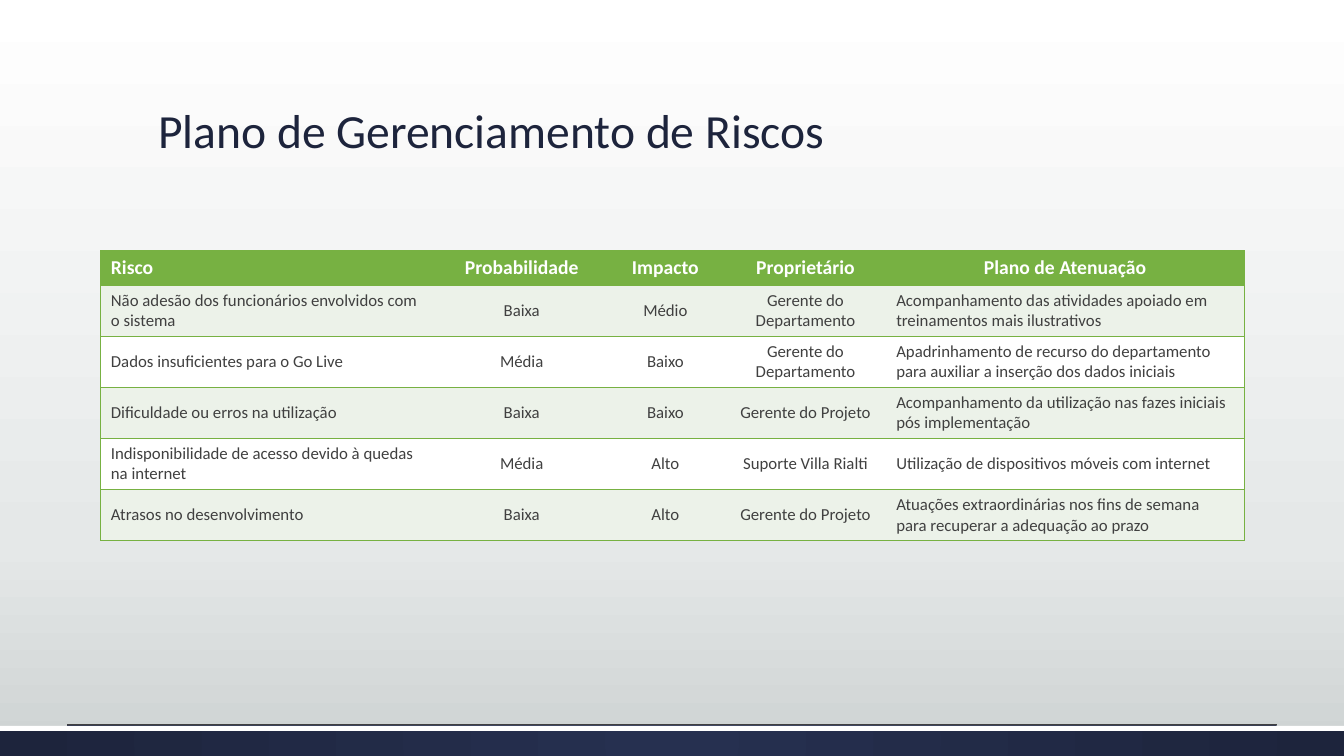
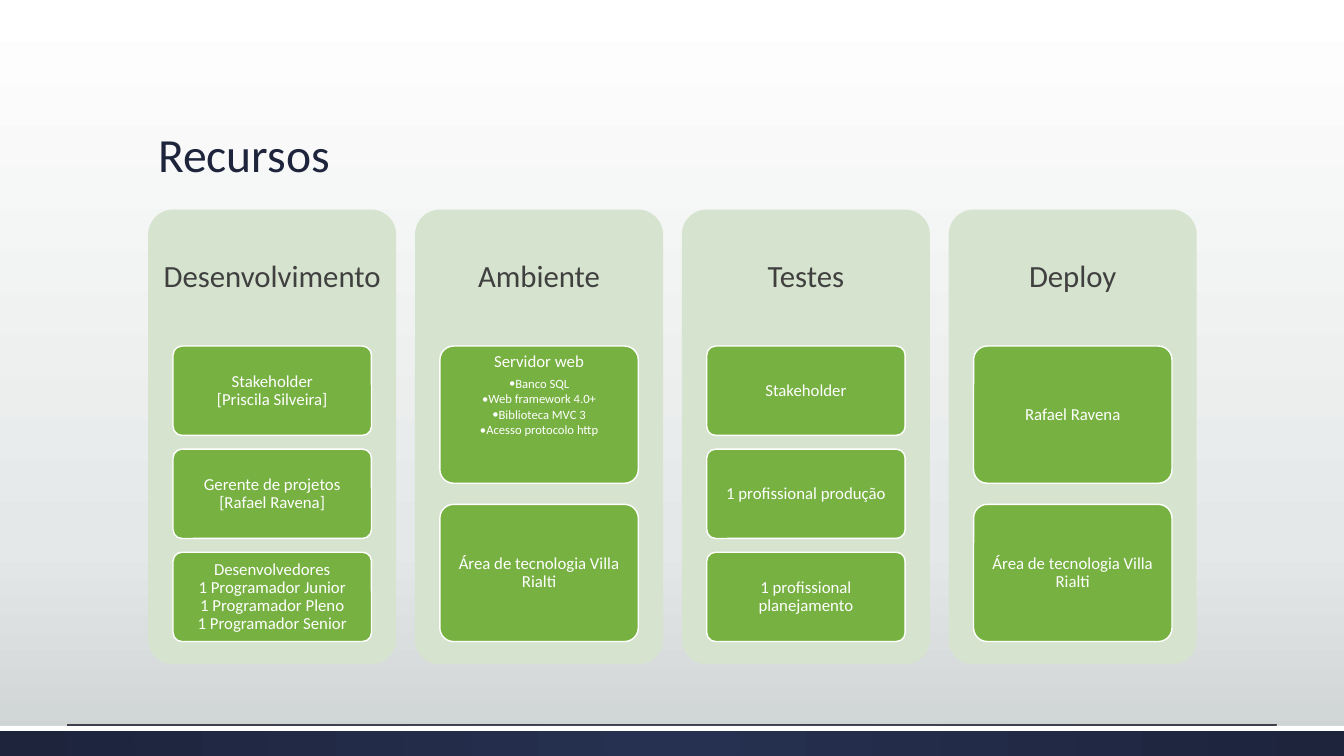
from pptx import Presentation
from pptx.dml.color import RGBColor
from pptx.enum.shapes import MSO_CONNECTOR, MSO_SHAPE
from pptx.enum.text import MSO_ANCHOR, PP_ALIGN
from pptx.oxml import parse_xml
from pptx.oxml.ns import nsdecls, qn
from pptx.util import Inches, Pt

SLIDE_W, SLIDE_H = 13.33, 7.5
FONT = "Calibri"
NAVY = RGBColor(0x1D, 0x24, 0x3C)
NAVY_LIGHT = RGBColor(0x26, 0x30, 0x50)
GREEN = RGBColor(0x77, 0xB1, 0x42)
GREEN_PALE = RGBColor(0xD6, 0xE4, 0xCF)
GREEN_TINT = RGBColor(0xEC, 0xF2, 0xE9)
GREY = RGBColor(0x40, 0x40, 0x40)
FOG = RGBColor(0xE5, 0xE8, 0xE8)
ASH = RGBColor(0xCD, 0xD2, 0xD2)
WHITE = RGBColor(0xFF, 0xFF, 0xFF)

DOWNWARD = '<a:lin ang="5400000" scaled="0"/>'
FROM_CENTRE = ('<a:path path="circle"><a:fillToRect l="50000" t="50000" '
               'r="50000" b="50000"/></a:path>')

CONTENT_LEFT, CONTENT_W = 1.47, 10.4
BAND_TOP = 0.96 * SLIDE_H

RISKS_TITLE = "Plano de Gerenciamento de Riscos"
RISKS = [
    ("Risco", "Probabilidade", "Impacto", "Proprietário", "Plano de Atenuação"),
    ("Não adesão dos funcionários envolvidos com o sistema", "Baixa", "Médio",
     "Gerente do Departamento",
     "Acompanhamento das atividades apoiado em treinamentos mais ilustrativos"),
    ("Dados insuficientes para o Go Live", "Média", "Baixo",
     "Gerente do Departamento",
     "Apadrinhamento de recurso do departamento para auxiliar a inserção dos dados iniciais"),
    ("Dificuldade ou erros na utilização", "Baixa", "Baixo",
     "Gerente do Projeto",
     "Acompanhamento da utilização nas fazes iniciais pós implementação"),
    ("Indisponibilidade de acesso devido à quedas na internet", "Média", "Alto",
     "Suporte Villa Rialti",
     "Utilização de dispositivos móveis com internet"),
    ("Atrasos no desenvolvimento", "Baixa", "Alto", "Gerente do Projeto",
     "Atuações extraordinárias nos fins de semana para recuperar a adequação ao prazo"),
]
RISK_COLUMNS = (3.34, 1.67, 1.18, 1.6, 3.55)
HEADER_ROW, RISK_ROW = 0.34, 0.5

RESOURCES_TITLE = "Recursos"
# Each card is a heading and its bullets.
RESOURCES = {
    "Desenvolvimento": [
        ("Stakeholder\n[Priscila Silveira]", []),
        ("Gerente de projetos [Rafael Ravena]", []),
        ("Desenvolvedores\n1 Programador Junior\n1 Programador Pleno\n1 Programador Senior", []),
    ],
    "Ambiente": [
        ("Servidor web", ["Banco SQL", "Web framework 4.0+",
                          "Biblioteca MVC 3", "Acesso protocolo http"]),
        ("Área de tecnologia Villa Rialti", []),
    ],
    "Testes": [
        ("Stakeholder", []),
        ("1 profissional produção", []),
        ("1 profissional planejamento", []),
    ],
    "Deploy": [
        ("Rafael Ravena", []),
        ("Área de tecnologia Villa Rialti", []),
    ],
}
PANEL_TOP, PANEL_W, PANEL_H = 2.08, 2.46, 4.51
HEADING_SHARE, CARDS_SHARE, CARD_W_SHARE = 0.3, 0.65, 0.8
CARD_GAP_SHARE = 0.154


def box(*lengths):
    return [Inches(length) for length in lengths]


def set_gradient(holder, stops, direction):
    """Swap the solid fill inside an element for a gradient."""
    solid = holder.find(qn("a:solidFill"))
    marks = "".join(f'<a:gs pos="{share * 1000}"><a:srgbClr val="{color}"/></a:gs>'
                    for share, color in stops)
    holder.replace(solid, parse_xml(
        f'<a:gradFill {nsdecls("a")} rotWithShape="1"><a:gsLst>{marks}</a:gsLst>'
        f'{direction}</a:gradFill>'))


def format_frame(frame, anchor, inset):
    settings = {"word_wrap": True, "vertical_anchor": anchor}
    for side in ("left", "top", "right", "bottom"):
        settings[f"margin_{side}"] = Inches(inset)
    for name, value in settings.items():
        setattr(frame, name, value)


def write(paragraph, text, size, color, align=PP_ALIGN.LEFT, bold=False,
          line_spacing=None, space_after=None):
    paragraph.text = text
    layout = {"alignment": align, "line_spacing": line_spacing,
              "space_after": space_after}
    for name, value in layout.items():
        setattr(paragraph, name, value)
    for run in paragraph.runs:
        for name, value in {"name": FONT, "size": Pt(size), "bold": bold}.items():
            setattr(run.font, name, value)
        run.font.color.rgb = color


def add_block(slide, preset, place, fill, line=None):
    block = slide.shapes.add_shape(preset, *box(*place))
    block.shadow.inherit = False
    block.fill.solid()
    block.fill.fore_color.rgb = fill
    if line is None:
        block.line.fill.background()
    else:
        block.line.color.rgb = line
        block.line.width = Pt(1)
    return block


def add_rounded(slide, place, fill, line=None):
    rounded = add_block(slide, MSO_SHAPE.ROUNDED_RECTANGLE, place, fill, line)
    rounded.adjustments[0] = 0.1
    return rounded


def set_background(prs):
    master = prs.slide_master
    master.background.fill.solid()
    master.background.fill.fore_color.rgb = WHITE
    set_gradient(master.element.find(".//" + qn("p:bgPr")),
                 [(0, WHITE), (72, FOG), (100, ASH)], DOWNWARD)


def add_titled_slide(prs, text, top, height):
    slide = prs.slides.add_slide(prs.slide_layouts[5])
    band = add_block(slide, MSO_SHAPE.RECTANGLE,
                     (0, BAND_TOP, SLIDE_W, SLIDE_H - BAND_TOP), NAVY)
    set_gradient(band.element.spPr, [(0, NAVY_LIGHT), (100, NAVY)], FROM_CENTRE)
    add_block(slide, MSO_SHAPE.RECTANGLE, (0, BAND_TOP, SLIDE_W, 0.05), WHITE)

    rule_y = BAND_TOP - 0.01
    rule = slide.shapes.add_connector(
        MSO_CONNECTOR.STRAIGHT, *box(0.05 * SLIDE_W, rule_y, 0.95 * SLIDE_W, rule_y))
    rule.line.color.rgb = GREY
    rule.line.width = Pt(0.5)
    rule.element.spPr.append(parse_xml(f'<a:effectLst {nsdecls("a")}/>'))

    title = slide.shapes.title
    place = box(CONTENT_LEFT, top, CONTENT_W, height)
    for name, value in zip(("left", "top", "width", "height"), place):
        setattr(title, name, value)
    format_frame(title.text_frame, MSO_ANCHOR.BOTTOM, 0.1)
    title.text_frame.margin_top = title.text_frame.margin_bottom = Inches(0.05)
    write(title.text_frame.paragraphs[0], text, 34, NAVY, line_spacing=0.9)
    return slide


def set_borders(cell, drawn):
    """Draw the named cell sides in green and clear the others."""
    properties = cell._tc.get_or_add_tcPr()
    for position, side in enumerate("LRTB"):
        paint = (f'<a:solidFill><a:srgbClr val="{GREEN}"/></a:solidFill>'
                 if side in drawn else "<a:noFill/>")
        properties.insert(position, parse_xml(
            f'<a:ln{side} {nsdecls("a")} w="12700">{paint}</a:ln{side}>'))


def add_risks(prs):
    slide = add_titled_slide(prs, RISKS_TITLE, 0.99, 0.64)
    heights = [HEADER_ROW] + [RISK_ROW] * (len(RISKS) - 1)
    table = slide.shapes.add_table(
        len(RISKS), len(RISK_COLUMNS),
        *box(1, 2.49, sum(RISK_COLUMNS), sum(heights))).table
    for column, width in zip(table.columns, RISK_COLUMNS):
        column.width = Inches(width)
    last = len(RISK_COLUMNS) - 1
    for r, (risk, height) in enumerate(zip(RISKS, heights)):
        table.rows[r].height = Inches(height)
        header = r == 0
        fill = GREEN if header else GREEN_TINT if r % 2 else WHITE
        for c, text in enumerate(risk):
            cell = table.cell(r, c)
            cell.vertical_anchor = MSO_ANCHOR.MIDDLE
            cell.fill.solid()
            cell.fill.fore_color.rgb = fill
            set_borders(cell, "TB" + ("L" if c == 0 else "R" if c == last else ""))
            left = c == 0 or (c == last and not header)
            write(cell.text_frame.paragraphs[0], text, 14 if header else 12,
                  WHITE if header else GREY,
                  PP_ALIGN.LEFT if left else PP_ALIGN.CENTER, header)


def add_card(slide, place, heading, bullets):
    frame = add_rounded(slide, place, GREEN, WHITE).text_frame
    format_frame(frame, MSO_ANCHOR.TOP if bullets else MSO_ANCHOR.MIDDLE, 0.03)
    write(frame.paragraphs[0], heading, 12, WHITE, PP_ALIGN.CENTER,
          line_spacing=0.9, space_after=Pt(4.2))
    for text in bullets:
        bullet = frame.add_paragraph()
        write(bullet, text, 9, WHITE, PP_ALIGN.CENTER,
              line_spacing=0.9, space_after=Pt(1.4))
        bullet.level = 1
        properties = bullet._p.get_or_add_pPr()
        indent = Inches(0.06)
        properties.set("marL", str(indent))
        properties.set("indent", str(-indent))
        properties.append(parse_xml(f'<a:buFont {nsdecls("a")} typeface="{FONT}"/>'))
        properties.append(parse_xml(f'<a:buChar {nsdecls("a")} char="•"/>'))


def add_resources(prs):
    slide = add_titled_slide(prs, RESOURCES_TITLE, 0.51, 1.35)
    pitch = (CONTENT_W - PANEL_W) / (len(RESOURCES) - 1)
    heading_h = HEADING_SHARE * PANEL_H
    card_w = CARD_W_SHARE * PANEL_W
    for column, (heading, cards) in enumerate(RESOURCES.items()):
        left = CONTENT_LEFT + column * pitch
        add_rounded(slide, (left, PANEL_TOP, PANEL_W, PANEL_H), GREEN_PALE)
        caption = slide.shapes.add_textbox(
            *box(left, PANEL_TOP, PANEL_W, heading_h)).text_frame
        format_frame(caption, MSO_ANCHOR.MIDDLE, 0.09)
        write(caption.paragraphs[0], heading, 22, GREY, PP_ALIGN.CENTER,
              line_spacing=0.9)

        count = len(cards)
        card_h = CARDS_SHARE * PANEL_H / (count + (count - 1) * CARD_GAP_SHARE)
        card_left = left + (PANEL_W - card_w) / 2
        for row, (text, bullets) in enumerate(cards):
            top = PANEL_TOP + heading_h + row * card_h * (1 + CARD_GAP_SHARE)
            add_card(slide, (card_left, top, card_w, card_h), text, bullets)


def main():
    prs = Presentation()
    prs.slide_width, prs.slide_height = box(SLIDE_W, SLIDE_H)
    set_background(prs)
    add_risks(prs)
    add_resources(prs)
    prs.save("out.pptx")


if __name__ == "__main__":
    main()
